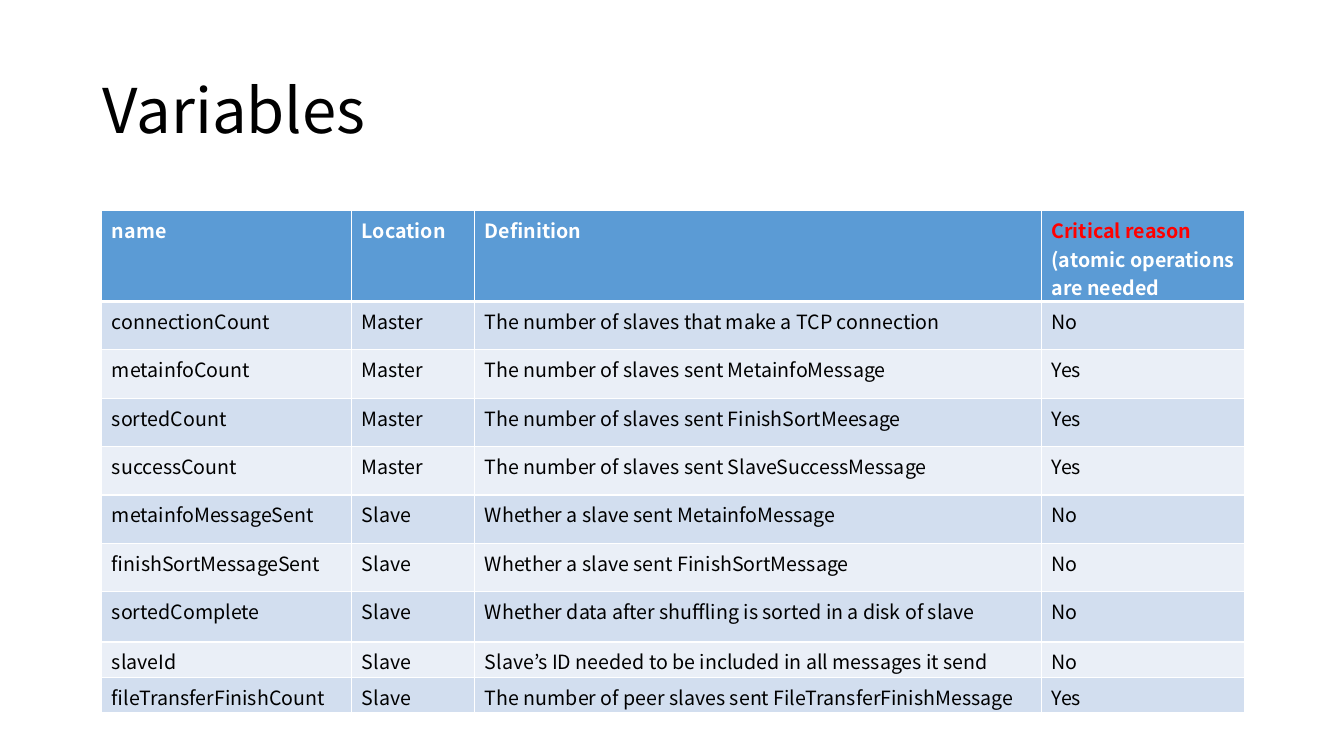
"""Builds the Variables slide: a title above a table of counters and flags."""
from lxml import etree
from pptx import Presentation
from pptx.dml.color import RGBColor
from pptx.enum.text import MSO_ANCHOR
from pptx.oxml.ns import qn
from pptx.util import Inches, Pt

MIDDLE = MSO_ANCHOR.MIDDLE
FONT = "Noto Sans CJK KR"
COLORS = {
    "text": "000000",
    "header text": "FFFFFF",
    "critical": "FF0000",
    "header": "5B9BD5",
    "odd row": "D2DEEF",
    "even row": "EAEFF7",
    "border": "FFFFFF",
}

TITLE = "Variables"
HEADINGS = ("name", "Location", "Definition", "Critical reason |(atomic operations are needed")
VARIABLES = [
    ("connectionCount", "Master", "The number of slaves that make a TCP connection", "No"),
    ("metainfoCount", "Master", "The number of slaves sent MetainfoMessage", "Yes"),
    ("sortedCount", "Master", "The number of slaves sent FinishSortMeesage", "Yes"),
    ("successCount", "Master", "The number of slaves sent SlaveSuccessMessage", "Yes"),
    ("metainfoMessageSent", "Slave", "Whether a slave sent MetainfoMessage", "No"),
    ("finishSortMessageSent", "Slave", "Whether a slave sent FinishSortMessage", "No"),
    ("sortedComplete", "Slave", "Whether data after shuffling is sorted in a disk of slave", "No"),
    ("slaveId", "Slave", "Slave’s ID needed to be included in all messages it send", "No"),
    ("fileTransferFinishCount", "Slave",
     "The number of peer slaves sent FileTransferFinishMessage", "Yes"),
]
TITLE_BOX = (0.92, 0.4, 11.5, 1.45)
TABLE_CORNER = (1.01, 2.09)
COLUMN_WIDTHS = (2.48, 1.22, 5.62, 2.02)
ROW_HEIGHTS = [0.9] + [0.48] * 6 + [0.5, 0.35, 0.35]
TITLE_FORMAT = {"size": Pt(44), "name": FONT, "bold": False}
HEADER_FORMAT = {"size": Pt(14), "name": FONT, "bold": True}
BODY_FORMAT = {**HEADER_FORMAT, "bold": False}


def add_run(paragraph, text, font_format, color):
    run = paragraph.add_run()
    run.text = text
    for attribute, value in font_format.items():
        setattr(run.font, attribute, value)
    run.font.color.rgb = RGBColor.from_string(COLORS[color])


def add_borders(cell, widths):
    properties = cell._tc.get_or_add_tcPr()
    for side, width in widths.items():
        line = etree.SubElement(properties, qn(f"a:ln{side}"), w=str(Pt(width)))
        fill = etree.SubElement(line, qn("a:solidFill"))
        etree.SubElement(fill, qn("a:srgbClr"), val=COLORS["border"])


def add_title(slide):
    frame = slide.shapes.add_textbox(*map(Inches, TITLE_BOX)).text_frame
    frame.word_wrap = True
    frame.vertical_anchor = MIDDLE
    frame.paragraphs[0].line_spacing = 0.9
    add_run(frame.paragraphs[0], TITLE, TITLE_FORMAT, "text")


def fill_cell(cell, text, row):
    add_borders(cell, {"L": 1, "R": 1, "T": 3 if row == 1 else 1, "B": 3 if row == 0 else 1})
    band = "header" if row == 0 else "odd row" if row % 2 else "even row"
    cell.fill.solid()
    cell.fill.fore_color.rgb = RGBColor.from_string(COLORS[band])
    paragraph = cell.text_frame.paragraphs[0]
    if row:
        add_run(paragraph, text, BODY_FORMAT, "text")
        return
    critical, separator, heading = text.rpartition("|")
    if separator:
        add_run(paragraph, critical, HEADER_FORMAT, "critical")
    add_run(paragraph, heading, HEADER_FORMAT, "header text")


def add_variables(slide):
    size = (sum(COLUMN_WIDTHS), sum(ROW_HEIGHTS))
    table = slide.shapes.add_table(
        len(ROW_HEIGHTS), len(COLUMN_WIDTHS), *map(Inches, TABLE_CORNER + size)
    ).table
    for column, width in zip(table.columns, COLUMN_WIDTHS):
        column.width = Inches(width)
    for row, height in zip(table.rows, ROW_HEIGHTS):
        row.height = Inches(height)
    for row, texts in enumerate([HEADINGS] + VARIABLES):
        for column, text in enumerate(texts):
            fill_cell(table.cell(row, column), text, row)


def main():
    presentation = Presentation()
    presentation.slide_width = Inches(13.33)
    presentation.slide_height = Inches(7.5)
    slide = presentation.slides.add_slide(presentation.slide_layouts[6])
    add_title(slide)
    add_variables(slide)
    presentation.save("out.pptx")


if __name__ == "__main__":
    main()
